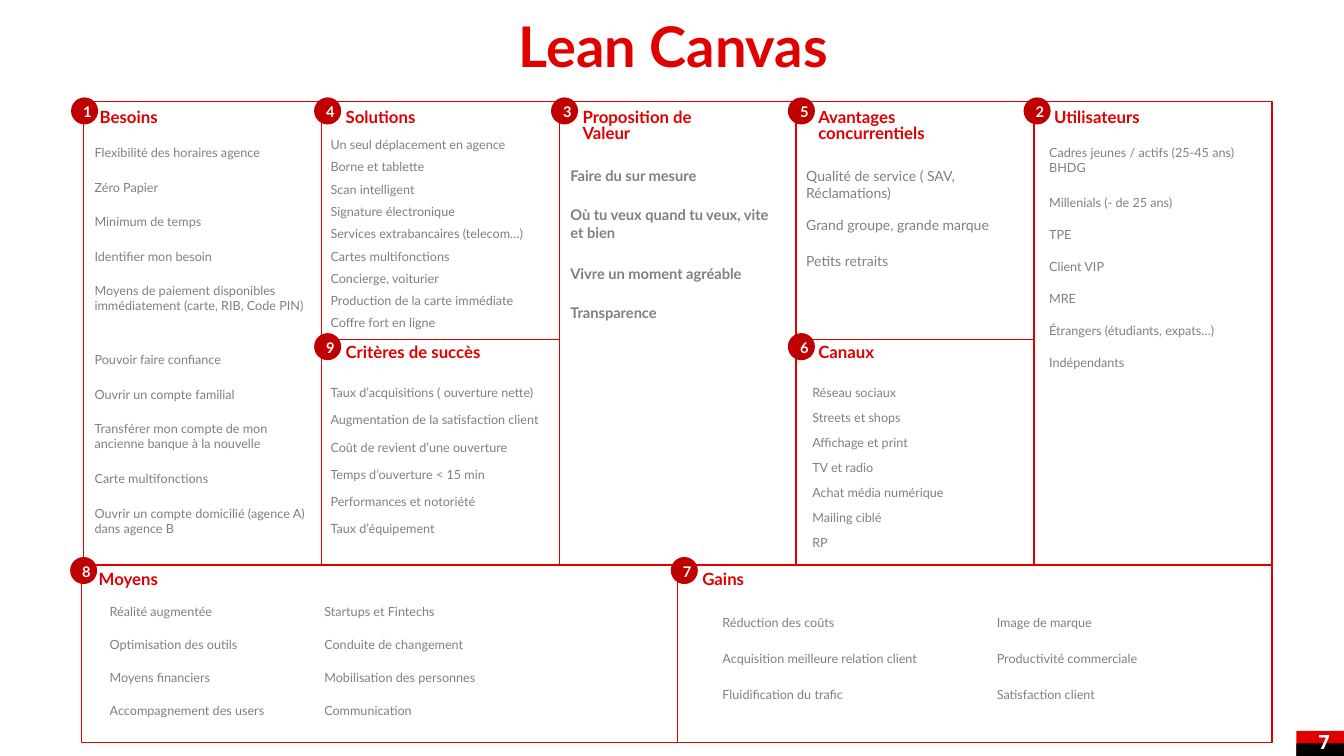
from dataclasses import dataclass

from pptx import Presentation
from pptx.dml.color import RGBColor
from pptx.enum.shapes import MSO_SHAPE
from pptx.enum.text import MSO_ANCHOR, PP_ALIGN
from pptx.util import Pt

RED = RGBColor(0xE0, 0x00, 0x00)
DARK_RED = RGBColor(0xC0, 0x00, 0x00)
GREY = RGBColor(0x80, 0x80, 0x80)
WHITE = RGBColor(0xFF, 0xFF, 0xFF)
BLACK = RGBColor(0x00, 0x00, 0x00)

BADGE_SIZE = 17.3
INSETS = (7.2, 3.6, 7.2, 3.6)


@dataclass(frozen=True)
class Frame:
    left: float
    top: float
    width: float
    height: float


@dataclass(frozen=True)
class Row:
    panel: float
    badge: float
    heading: float


@dataclass(frozen=True)
class Entry:
    text: str
    extra: float = 0  # height added by further lines


@dataclass(frozen=True)
class EntryList:
    left: float
    top: float
    pitch: float
    entries: tuple[str | Entry, ...]
    width: float = 165
    size: float = 9
    bold: bool = False
    height: float = 18


@dataclass(frozen=True)
class Section:
    number: int
    title: str
    row: Row
    left: float
    height: float
    badge_left: float
    heading_left: float
    lists: tuple[EntryList, ...]
    width: float = 170
    heading_width: float = 140
    heading_height: float = 20.2


UPPER = Row(72.7, 70.6, 74.9)
MIDDLE = Row(242.6, 239, 242.6)
LOWER = Row(403.9, 398.9, 404.6)
FULL, TOP_HALF, BOTTOM_HALF, BASE = 330.5, 169.9, 160.6, 126.7

# Sections, from back to front
SECTIONS = (
    Section(3, "Proposition de Valeur", UPPER, 398.2, FULL, 394.6, 409, (
        EntryList(400.3, 115.9, 27.9, (
            "Faire du sur mesure",
            Entry("Où tu veux quand tu veux, vite et bien", 14),
            "Vivre un moment agréable", "Transparence"),
            size=10.5, bold=True, height=20.9),),
        heading_width=104.4, heading_height=31.7),
    Section(5, "Avantages concurrentiels", UPPER, 568.8, TOP_HALF, 563.8, 577.4, (
        EntryList(568.8, 115.9, 25.6, (
            Entry("Qualité de service ( SAV, Réclamations)", 9.7),
            "Grand groupe, grande marque", "Petits retraits"),
            size=10, height=19.4),),
        heading_height=31.7),
    Section(6, "Canaux", MIDDLE, 568.8, BOTTOM_HALF, 563.8, 577.4, (
        EntryList(573.1, 271.4, 17.8, (
            "Réseau sociaux", "Streets et shops", "Affichage et print",
            "TV et radio", "Achat média numérique", "Mailing ciblé", "RP")),)),
    Section(1, "Besoins", UPPER, 59.8, FULL, 51.8, 64.1, (
        EntryList(60.5, 100.1, 24.6, (
            "Flexibilité des horaires agence", "Zéro Papier",
            "Minimum de temps", "Identifier mon besoin",
            Entry("Moyens de paiement disponibles immédiatement "
                  "(carte, RIB, Code PIN)", 25),
            "Pouvoir faire confiance", "Ouvrir un compte familial",
            Entry("Transférer mon compte de mon ancienne banque à la nouvelle", 11),
            "Carte multifonctions",
            Entry("Ouvrir un compte domicilié (agence A) dans agence B", 11))),)),
    Section(4, "Solutions", UPPER, 229.7, TOP_HALF, 225.4, 239.8, (
        EntryList(229, 94.3, 15.93, (
            "Un seul déplacement en agence", "Borne et tablette",
            "Scan intelligent", "Signature électronique",
            "Services extrabancaires (telecom…)", "Cartes multifonctions",
            "Concierge, voiturier", "Production de la carte immédiate",
            "Coffre fort en ligne")),)),
    Section(9, "Critères de succès", MIDDLE, 229.7, BOTTOM_HALF, 225.4, 239.8, (
        EntryList(229, 271.4, 19.45, (
            "Taux d’acquisitions ( ouverture nette)",
            "Augmentation de la satisfaction client",
            "Coût de revient d’une ouverture", "Temps d’ouverture < 15 min",
            "Performances et notoriété", "Taux d’équipement"), width=170),)),
    Section(2, "Utilisateurs", UPPER, 738.7, FULL, 732.2, 745.9, (
        EntryList(742.3, 100.1, 22.9, (
            Entry("Cadres jeunes / actifs (25-45 ans) BHDG", 12.4),
            "Millenials (- de 25 ans)", "TPE", "Client VIP", "MRE",
            "Étrangers (étudiants, expats…)", "Indépendants")),)),
    Section(8, "Moyens", LOWER, 58.3, BASE, 51.1, 63.4, (
        EntryList(71.3, 427.7, 23.5, (
            "Réalité augmentée", "Optimisation des outils",
            "Moyens financiers", "Accompagnement des users"), width=144),
        EntryList(224.6, 427.7, 23.5, (
            "Startups et Fintechs", "Conduite de changement",
            "Mobilisation des personnes", "Communication"), width=144)),
        width=425.5),
    Section(7, "Gains", LOWER, 483.8, BASE, 480.2, 494.6, (
        EntryList(509, 435.6, 25.6, (
            "Réduction des coûts", "Acquisition meilleure relation client",
            "Fluidification du trafic"), width=173.5),
        EntryList(704.9, 435.6, 25.6, (
            "Image de marque", "Productivité commerciale",
            "Satisfaction client"), width=173.5)),
        width=424.8),
)


def write(shape, text: str, size: float, color: RGBColor, bold: bool = True,
          font: str = "Lato", insets: tuple = INSETS,
          anchor=MSO_ANCHOR.MIDDLE, **paragraph_format) -> None:
    left, top, right, bottom = map(Pt, insets)
    frame_format = {"word_wrap": True, "vertical_anchor": anchor,
                    "margin_left": left, "margin_top": top,
                    "margin_right": right, "margin_bottom": bottom}
    for name, value in frame_format.items():
        setattr(shape.text_frame, name, value)
    para = shape.text_frame.paragraphs[0]
    for name, value in paragraph_format.items():
        setattr(para, name, value)
    span = para.add_run()
    span.text = text
    for name, value in {"name": font, "size": Pt(size), "bold": bold}.items():
        setattr(span.font, name, value)
    span.font.color.rgb = color


def place(frame: Frame) -> tuple:
    return Pt(frame.left), Pt(frame.top), Pt(frame.width), Pt(frame.height)


def add_box(page, frame: Frame, text: str, size: float, color: RGBColor, **options) -> None:
    write(page.shapes.add_textbox(*place(frame)), text, size, color, **options)


def add_outline(page, kind, frame: Frame, fill: RGBColor,
                line: RGBColor | None = None, weight: float = 1):
    shape = page.shapes.add_shape(kind, *place(frame))
    shape.shadow.inherit = False
    shape.fill.solid()
    shape.fill.fore_color.rgb = fill
    if line is None:
        shape.line.fill.background()
    else:
        shape.line.color.rgb = line
        shape.line.width = Pt(weight)
    return shape


def add_entries(page, group: EntryList) -> None:
    top = group.top
    for item in group.entries:
        entry = item if isinstance(item, Entry) else Entry(item)
        frame = Frame(group.left, top, group.width, group.height + entry.extra)
        add_box(page, frame, entry.text, group.size, GREY,
                bold=group.bold, anchor=MSO_ANCHOR.TOP)
        top += group.pitch + entry.extra


def add_section_label(page, section: Section) -> None:
    badge = add_outline(page, MSO_SHAPE.OVAL,
                        Frame(section.badge_left, section.row.badge, BADGE_SIZE, BADGE_SIZE),
                        DARK_RED, DARK_RED, 2)
    write(badge, str(section.number), 10.5, WHITE, insets=(7.2, 3.6, 7.2, 0),
          alignment=PP_ALIGN.CENTER, line_spacing=0.8)
    add_box(page, Frame(section.heading_left, section.row.heading,
                        section.heading_width, section.heading_height),
            section.title, 12, RED, line_spacing=0.75)


def main() -> None:
    deck = Presentation()
    deck.slide_width, deck.slide_height = Pt(960), Pt(540)
    page = deck.slides.add_slide(deck.slide_layouts[6])

    # Page number corner and title
    add_outline(page, MSO_SHAPE.RECTANGLE, Frame(926, 522, 34, 18), RED)
    add_outline(page, MSO_SHAPE.RECTANGLE, Frame(926, 531, 34, 9), BLACK)
    add_box(page, Frame(68.4, 15.1, 825, 43.9), "Lean Canvas", 40, RED,
            alignment=PP_ALIGN.CENTER, line_spacing=0.75)
    add_box(page, Frame(908, 520.6, 41.8, 18), "7", 14, WHITE, font="Open Sans",
            insets=(0, 0, 0, 0), alignment=PP_ALIGN.RIGHT)

    # Panels first, so that badges sit above every border
    for section in SECTIONS:
        add_outline(page, MSO_SHAPE.RECTANGLE,
                    Frame(section.left, section.row.panel, section.width, section.height),
                    WHITE, RED)
    for section in SECTIONS:
        add_section_label(page, section)
        for group in section.lists:
            add_entries(page, group)

    deck.save("out.pptx")


if __name__ == "__main__":
    main()
